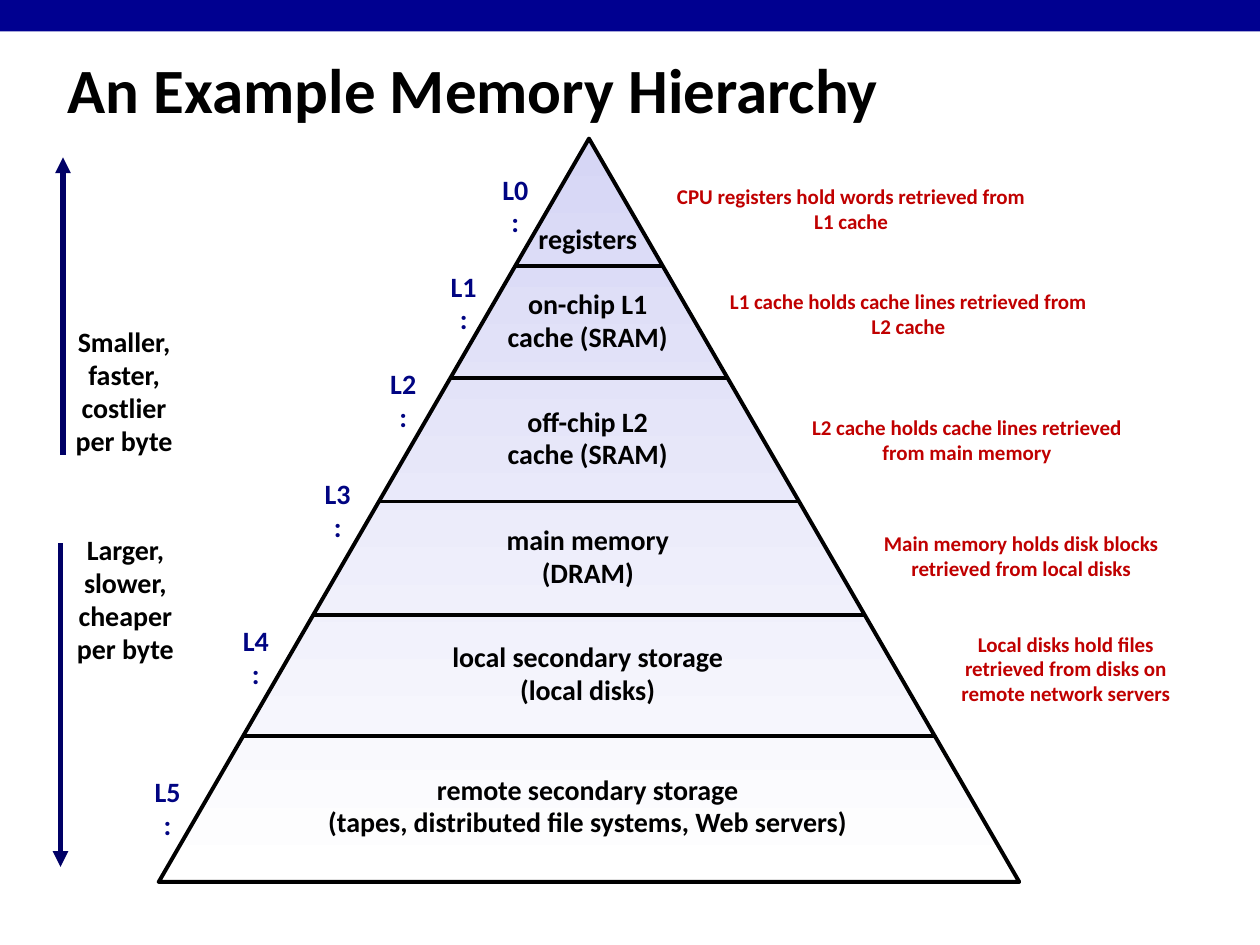
from lxml.etree import SubElement
from pptx import Presentation
from pptx.dml.color import RGBColor
from pptx.enum.shapes import MSO_CONNECTOR, MSO_SHAPE
from pptx.enum.text import MSO_ANCHOR, MSO_AUTO_SIZE, PP_ALIGN
from pptx.oxml.ns import qn
from pptx.util import Inches, Pt

COLUMNS, ROWS = 100, 75
BLACK, NAVY, BAND = "000000", "000066", "000090"
LABEL_BLUE, NOTE_RED = "000482", "C00000"


def color(hex_string):
    return RGBColor.from_string(hex_string)


class HierarchySlide:
    """Holds the slide and its style; lengths are grid columns and rows."""
    font = "Calibri"
    line_spacing = 0.98

    def __init__(self, deck):
        self.slide = deck.slides.add_slide(deck.slide_layouts[6])
        self.column = deck.slide_width / COLUMNS
        self.row = deck.slide_height / ROWS

    def place(self, x, y):
        return round(x * self.column), round(y * self.row)

    def shape(self, kind, x, y, width, height):
        shape = self.slide.shapes.add_shape(
            kind, *self.place(x, y), *self.place(width, height))
        shape.shadow.inherit = False
        return shape

    def band(self, x, y, width, height):
        band = self.shape(MSO_SHAPE.RECTANGLE, x, y, width, height)
        band.fill.solid()
        band.fill.fore_color.rgb = color(BAND)
        band.line.fill.background()

    def pyramid(self, x, y, width, height, top_color, base_color):
        pyramid = self.shape(MSO_SHAPE.ISOSCELES_TRIANGLE, x, y, width, height)
        pyramid.fill.gradient()
        pyramid.fill.gradient_angle = 270
        for stop, tint in zip(pyramid.fill.gradient_stops, (top_color, base_color)):
            stop.color.rgb = color(tint)
        pyramid.line.color.rgb = color(BLACK)
        pyramid.line.width = Pt(2.25)

    def line(self, start, end, tint, width, arrow=False):
        line = self.slide.shapes.add_connector(
            MSO_CONNECTOR.STRAIGHT, *self.place(*start), *self.place(*end))
        line.line.color.rgb = color(tint)
        line.line.width = Pt(width)
        if arrow:
            SubElement(line.line._get_or_add_ln(), qn("a:tailEnd"), type="triangle")
        SubElement(line._element.spPr, qn("a:effectLst"))

    def title(self, text, x, y, width, height):
        box = self.slide.shapes.add_textbox(
            *self.place(x, y), *self.place(width, height))
        frame = box.text_frame
        frame.word_wrap = True
        frame.vertical_anchor = MSO_ANCHOR.MIDDLE
        frame.text = text
        self.set_font(frame.paragraphs[0], 36, BLACK)

    def text(self, text, x, y, width, size=16, tint=BLACK, wrapped_lines=0):
        """Centred text whose box height follows from its number of lines."""
        lines = wrapped_lines or text.count("\n") + 1
        height = 1 + lines * size * 0.163
        box = self.slide.shapes.add_textbox(
            *self.place(x, y), *self.place(width, height))
        frame = box.text_frame
        frame.word_wrap = wrapped_lines > 0
        frame.auto_size = MSO_AUTO_SIZE.SHAPE_TO_FIT_TEXT
        frame.vertical_anchor = MSO_ANCHOR.MIDDLE
        frame.text = text
        for paragraph in frame.paragraphs:
            paragraph.alignment = PP_ALIGN.CENTER
            paragraph.line_spacing = self.line_spacing
            self.set_font(paragraph, size, tint)

    def set_font(self, paragraph, size, tint):
        paragraph.font.name = self.font
        paragraph.font.size = Pt(size)
        paragraph.font.bold = True
        paragraph.font.color.rgb = color(tint)


# Pyramid geometry
LEFT, APEX, BASE_WIDTH, PYRAMID_HEIGHT = 12.6, 11, 68.3, 59
AXIS = LEFT + BASE_WIDTH / 2

# Storage name, its top and width; label corner; row of the lower edge
LEVELS = [
    ("registers", 17.2, 9.9, (38.6, 14.6), 21.1),
    ("on-chip L1\ncache (SRAM)", 22.4, 14.7, (34.5, 22.3), 30),
    ("off-chip L2\ncache (SRAM)", 31.7, 14.7, (29.7, 30), 39.8),
    ("main memory\n(DRAM)", 41.1, 14.9, (24.5, 38.8), 48.8),
    ("local secondary storage\n(local disks)", 50.4, 23.6, (18, 50.4), 58.4),
    ("remote secondary storage\n(tapes, distributed file systems, Web servers)",
     60.9, 43.4, (11, 62.4), None),
]

# Note, left, top, width, wrapped lines
NOTES = [
    ("CPU registers hold words retrieved from\vL1 cache", 51.6, 14.2, 31.9, 2),
    ("L1 cache holds cache lines retrieved from L2 cache", 56.6, 22.5, 31, 2),
    ("L2 cache holds cache lines retrieved from main memory", 62.4, 32.5, 28.7, 2),
    ("Main memory holds disk blocks retrieved from local disks", 68, 41.7, 26.1, 2),
    ("Local disks hold files retrieved from disks on remote network servers",
     73.3, 49.7, 22.6, 3),
]

# Caption, its top and width; arrow column, start row and end row
TRENDS = [
    ("Smaller,\nfaster,\ncostlier\nper byte", 25.4, 9.7, 5, 36.1, 12.5),
    ("Larger,\nslower,\ncheaper\nper byte", 41.9, 9.9, 4.8, 43.1, 68.8),
]


def main():
    deck = Presentation()
    deck.slide_width, deck.slide_height = Inches(10), Inches(7.5)
    page = HierarchySlide(deck)

    # Header
    page.band(0, 0, COLUMNS, 2.5)
    page.title("An Example Memory Hierarchy", 4.4, 2.7, 95.3, 8.6)

    # Pyramid with its levels; each divider spans the sides at its row
    page.pyramid(LEFT, APEX, BASE_WIDTH, PYRAMID_HEIGHT, "D6D6F5", "FFFFFF")
    for number, (storage, top, width, label, edge) in enumerate(LEVELS):
        page.text(storage, AXIS - 0.1 - width / 2, top, width)
        page.text(f"L{number}:", *label, 4.6, tint=LABEL_BLUE)
        if edge:
            half = BASE_WIDTH / 2 * (edge - APEX) / PYRAMID_HEIGHT
            page.line((AXIS - half, edge), (AXIS + half, edge), BLACK, 2)

    # What each level holds
    for note, left, top, width, lines in NOTES:
        page.text(note, left, top, width, 12, NOTE_RED, lines)

    # Trend arrows
    for caption, top, width, column, start, end in TRENDS:
        page.text(caption, 5, top, width)
        page.line((column, start), (column, end), NAVY, 3, arrow=True)

    deck.save("out.pptx")


if __name__ == "__main__":
    main()
